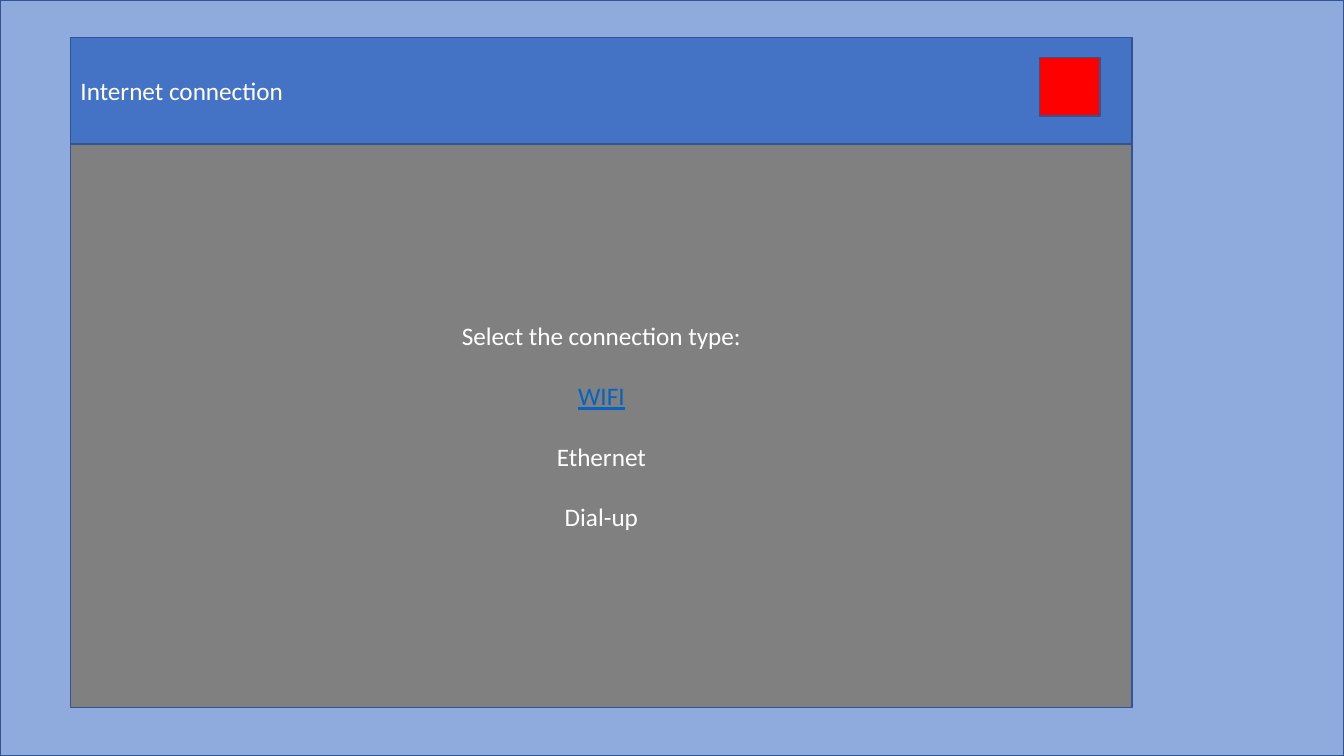
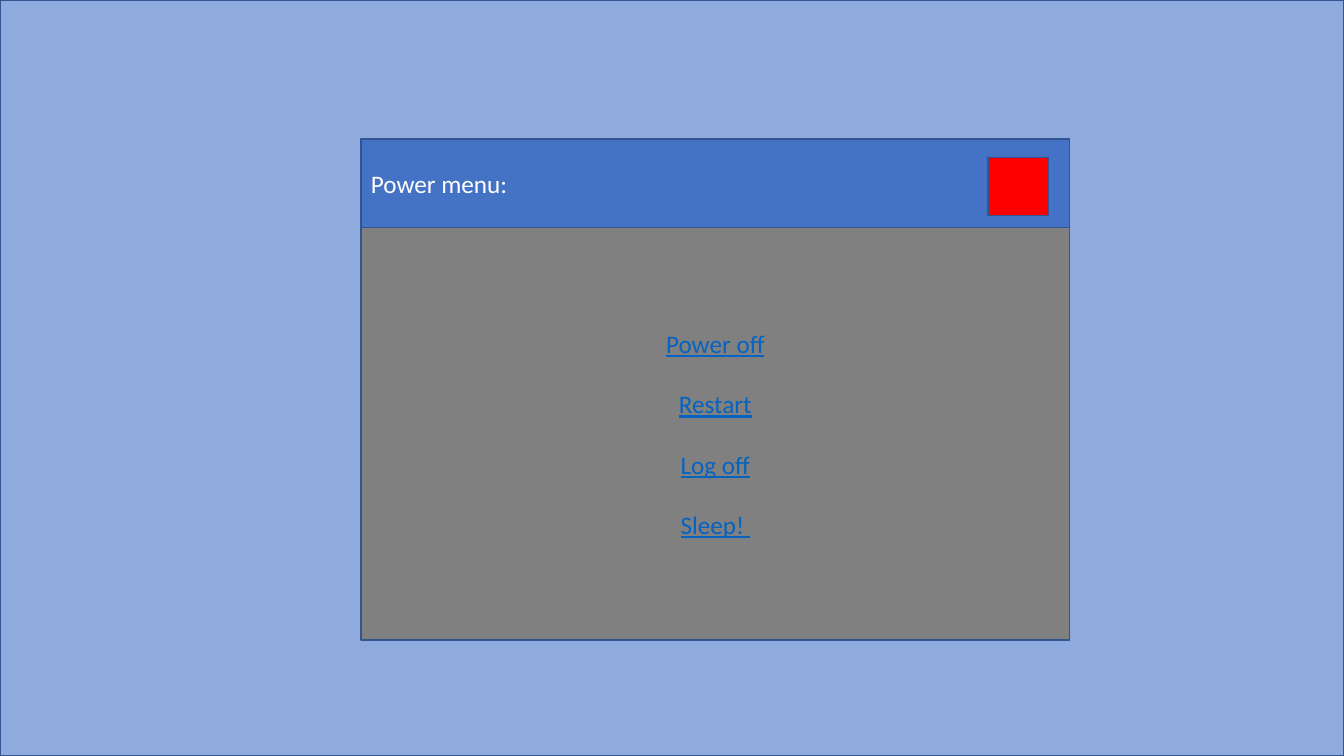
"""Build two desktop dialog slides: internet connection and power menu."""
from pptx import Presentation
from pptx.dml.color import RGBColor
from pptx.enum.shapes import MSO_SHAPE
from pptx.enum.text import MSO_ANCHOR, PP_ALIGN
from pptx.util import Inches, Pt

RECT = MSO_SHAPE.RECTANGLE
MIDDLE = MSO_ANCHOR.MIDDLE
LEFT, CENTER = PP_ALIGN.LEFT, PP_ALIGN.CENTER

COLORS = {
    "desktop": "8FAADC",
    "body": "808080",
    "title": "4472C4",
    "close": "FF0000",
    "line": "325491",
    "text": "FFFFFF",
    "link": "0563C1",
}
FONT = "Calibri"
SLIDE_W, SLIDE_H = 13.33, 7.5
CLOSE_W, CLOSE_H = 0.6, 0.58

DIALOGS = [
    {
        "title": "Internet connection",
        "items": [
            ("Select the connection type:", "text"),
            ("WIFI", "link"),
            ("Ethernet", "text"),
            ("Dial-up", "text"),
        ],
        "window": (0.7, 0.37, 10.53, 6.65),
        "title_h": 1.06,
        "close": (10.31, 0.57),
    },
    {
        "title": "Power menu:",
        "items": [
            ("Power off", "link"),
            ("Restart", "link"),
            ("Log off", "link"),
            ("Sleep! ", "link"),
        ],
        "window": (3.58, 1.38, 7.03, 4.97),
        "title_h": 0.88,
        "close": (9.8, 1.56),
    },
]


def rgb(name):
    return RGBColor.from_string(COLORS[name])


def add_box(s, x, y, w, h, fill):
    sp = s.shapes.add_shape(RECT, Inches(x), Inches(y), Inches(w), Inches(h))
    sp.shadow.inherit = False
    sp.fill.solid()
    sp.fill.fore_color.rgb = rgb(fill)
    sp.line.color.rgb = rgb("line")
    sp.line.width = Pt(1)
    return sp


def write(sp, items, align):
    tf = sp.text_frame
    tf.word_wrap = True
    tf.vertical_anchor = MIDDLE
    for i, (text, color) in enumerate(items):
        p = tf.add_paragraph() if i else tf.paragraphs[0]
        p.text = text
        p.alignment = align
        p.space_before = Pt(21.5 if i else 0)
        p.font.name = FONT
        p.font.size = Pt(18)
        p.font.color.rgb = rgb(color)
        p.font.underline = color == "link"


def add_dialog(prs, dialog):
    s = prs.slides.add_slide(prs.slide_layouts[6])
    x, y, w, h = dialog["window"]
    title_h = dialog["title_h"]
    add_box(s, 0, 0, SLIDE_W, SLIDE_H, "desktop")
    body = add_box(s, x, y + title_h, w, h - title_h, "body")
    write(body, dialog["items"], CENTER)
    title = add_box(s, x, y, w, title_h, "title")
    write(title, [(dialog["title"], "text")], LEFT)
    add_box(s, *dialog["close"], CLOSE_W, CLOSE_H, "close")


def main():
    prs = Presentation()
    prs.slide_width, prs.slide_height = Inches(SLIDE_W), Inches(SLIDE_H)
    for dialog in DIALOGS:
        add_dialog(prs, dialog)
    prs.save("out.pptx")


if __name__ == "__main__":
    main()
